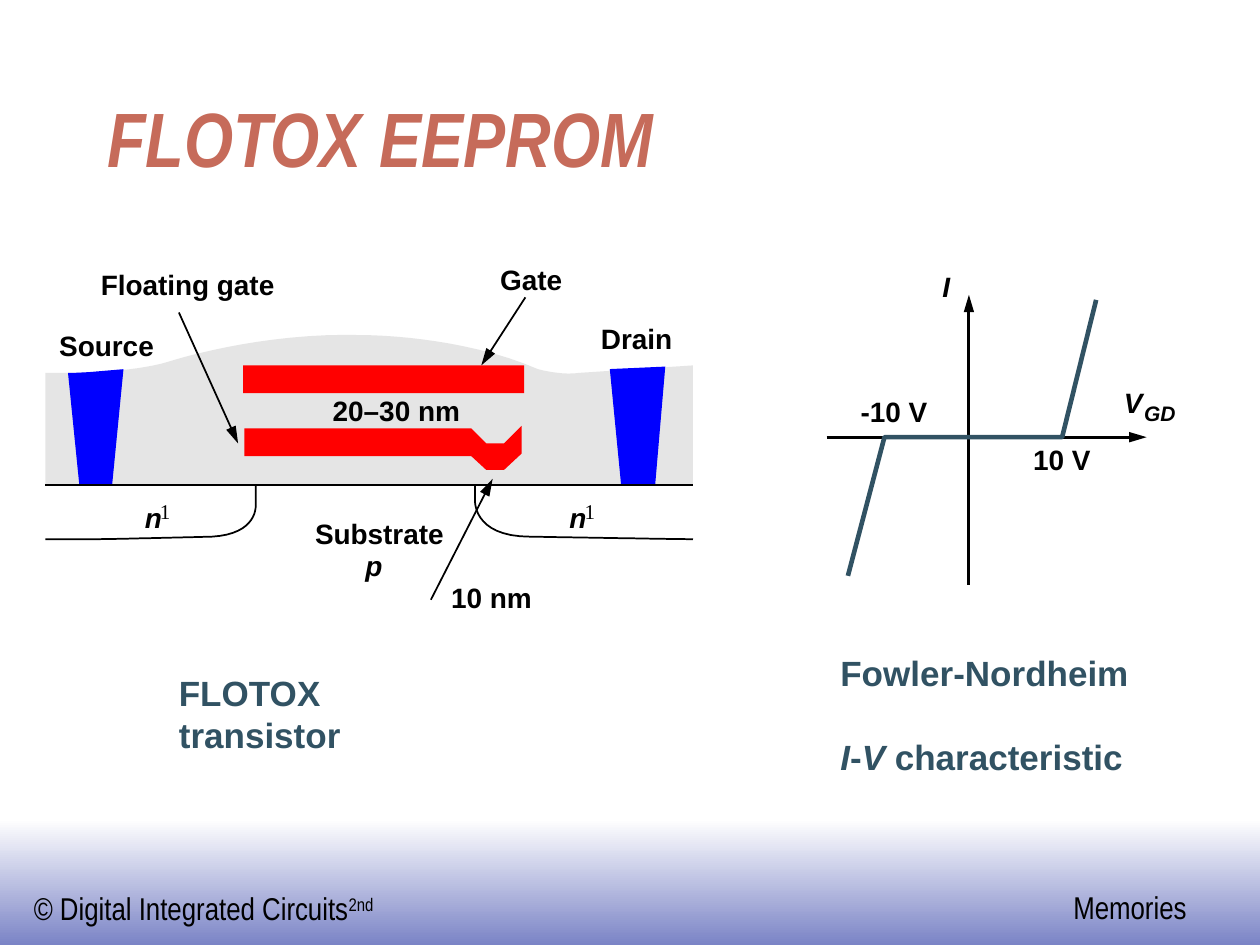
from lxml import etree
from pptx import Presentation
from pptx.dml.color import RGBColor
from pptx.enum.shapes import MSO_CONNECTOR, MSO_SHAPE
from pptx.enum.text import MSO_ANCHOR, MSO_AUTO_SIZE, PP_ALIGN
from pptx.oxml.ns import qn
from pptx.util import Inches, Pt

STRAIGHT = MSO_CONNECTOR.STRAIGHT
RECTANGLE = MSO_SHAPE.RECTANGLE
BOTTOM = MSO_ANCHOR.BOTTOM
NO_FIT, GROW = MSO_AUTO_SIZE.NONE, MSO_AUTO_SIZE.SHAPE_TO_FIT_TEXT
LEFT = PP_ALIGN.LEFT

BLACK = RGBColor(0, 0, 0)
WHITE = RGBColor(255, 255, 255)
RED = RGBColor(255, 0, 0)
BLUE = RGBColor(0, 0, 255)
OXIDE_GRAY = RGBColor(0xE5, 0xE5, 0xE5)
SLATE = RGBColor(0x31, 0x52, 0x63)
CORAL = RGBColor(0xC6, 0x6B, 0x5A)
PERIWINKLE = RGBColor(0x7B, 0x84, 0xC6)

TITLE = "FLOTOX EEPROM"
SURFACE = 3.85
CURVE_STEPS = 16
LABEL_SLACK = 0.1

# Each point is (x, y), or (control x, control y, x, y) for a curve.
DRAIN_JUNCTION = [(3.77, SURFACE), (3.77, 3.96), (3.74, 4.26, 4.21, 4.26), (5.39, 4.28, 5.5, 4.28)]
SOURCE_JUNCTION = [(2.03, SURFACE), (2.03, 4.01), (2.05, 4.24, 1.68, 4.26),
                   (0.88, 4.28, 0.75, 4.28), (0.36, 4.28)]
OXIDE = [(4.59, 2.96), (5.5, 2.9), (5.5, SURFACE), (0.36, SURFACE), (0.36, 2.96), (0.54, 2.96),
         (1.05, 2.96, 1.34, 2.87), (2.07, 2.63, 2.9, 2.66), (3.65, 2.66, 4.27, 2.93),
         (4.45, 2.98, 4.59, 2.96)]
SOURCE_CONTACT = [(0.63, SURFACE), (0.54, 2.96), (0.63, 2.96, 0.75, 2.95), (0.98, 2.93),
                  (0.89, SURFACE)]
DRAIN_CONTACT = [(5.2, SURFACE), (5.28, 2.91), (4.84, 2.93), (4.93, SURFACE)]
FLOATING_GATE = [(4.14, 3.6), (4, 3.73), (3.86, 3.73), (3.74, 3.62), (1.94, 3.62), (1.94, 3.4),
                 (3.74, 3.4), (3.86, 3.52), (4, 3.52), (4.14, 3.38)]
TUNNEL_CURRENT = [(6.73, 4.57), (7.02, 3.47), (8.43, 3.47), (8.7, 2.38)]

GATE = (1.93, 2.9, 2.23, 0.22)
FILLED_REGIONS = [(OXIDE, OXIDE_GRAY), (SOURCE_CONTACT, BLUE), (DRAIN_CONTACT, BLUE),
                  (FLOATING_GATE, RED)]
ARROWS = [
    ((1.42, 2.48), (1.89, 3.52), 1),
    ((4.17, 2.36), (3.82, 2.9), 1),
    ((3.42, 4.76), (3.91, 3.8), 1),
    ((6.56, 3.47), (9.1, 3.47), 1.63),
    ((7.69, 4.64), (7.69, 2.34), 1.63),
]

LABEL = dict(size=16, bold=True)
SYMBOL = dict(size=16, bold=True, italic=True)
CHARGE = dict(size=12, name="Times New Roman")
SUBSCRIPT = dict(size=12, bold=True, italic=True)
CAPTION = dict(size=20, bold=True, color=SLATE)
CAPTION_SYMBOL = dict(CAPTION, italic=True)
FOOTER = dict(size=18, name="Arial Narrow")

LABELS = [
    ("Floating gate", 0.8, 2.12, 1.38, LABEL),
    ("Source", 0.47, 2.61, 0.75, LABEL),
    ("Gate", 3.97, 2.08, 0.49, LABEL),
    ("Drain", 4.77, 2.55, 0.57, LABEL),
    ("20–30 nm", 2.64, 3.12, 0.98, LABEL),
    ("Substrate", 2.5, 4.1, 1.02, LABEL),
    ("p", 2.9, 4.35, 0.14, SYMBOL),
    ("10 nm", 3.58, 4.61, 0.64, LABEL),
    ("n", 1.15, 3.97, 0.14, SYMBOL),
    ("1", 1.27, 3.96, 0.14, CHARGE),
    ("n", 4.52, 3.97, 0.14, SYMBOL),
    ("1", 4.64, 3.96, 0.14, CHARGE),
    ("-10 V", 6.83, 3.13, 0.53, LABEL),
    ("10 V", 8.2, 3.51, 0.46, LABEL),
    ("I", 7.48, 2.14, 0.06, SYMBOL),
    ("V", 8.92, 3.06, 0.15, SYMBOL),
    ("GD", 9.08, 3.18, 0.25, SUBSCRIPT),
]
DEVICE_CAPTION = [[("FLOTOX transistor", CAPTION)]]
CURVE_CAPTION = [
    [("Fowler-Nordheim", CAPTION)],
    [("I", CAPTION_SYMBOL), ("-", CAPTION), ("V", CAPTION_SYMBOL), (" characteristic", CAPTION)],
]
BOOK_FOOTER = [[("© Digital Integrated Circuits", FOOTER), ("2nd", dict(FOOTER, baseline=30000))]]
CHAPTER_FOOTER = [[("Memories", FOOTER)]]


def add_span(para, text, size, name="Arial", color=BLACK, bold=False, italic=False, baseline=0):
    span = para.add_run()
    span.text = text
    font = span.font
    font.size, font.name, font.bold, font.italic = Pt(size), name, bold, italic
    font.color.rgb = color
    if baseline:
        span._r.get_or_add_rPr().set("baseline", str(baseline))


def add_text(page, area, paragraphs, wrap=True, margins=(0, 0), gap=0):
    box = page.shapes.add_textbox(*map(Inches, area))
    frame = box.text_frame
    frame.word_wrap, frame.auto_size = wrap, GROW
    frame.margin_left = frame.margin_right = Inches(margins[0])
    frame.margin_top = frame.margin_bottom = Inches(margins[1])
    for index, spans in enumerate(paragraphs):
        para = frame.add_paragraph() if index else frame.paragraphs[0]
        if index:
            para.space_before = Pt(gap)
        for text, style in spans:
            add_span(para, text, **style)


def trace(points):
    traced = [points[0]]
    for *control, x, y in points[1:]:
        if control:
            start = traced[-1]
            for step in range(1, CURVE_STEPS + 1):
                t = step / CURVE_STEPS
                near, pull, far = (1 - t) ** 3 + 3 * t * (1 - t) ** 2, 3 * t * t * (1 - t), t ** 3
                traced.append(tuple(near * a + pull * b + far * c
                                    for a, b, c in zip(start, control, (x, y))))
        else:
            traced.append((x, y))
    return [(Inches(x), Inches(y)) for x, y in traced]


def add_outline(page, points, fill=None, line=BLACK, width=1):
    first, *rest = trace(points)
    builder = page.shapes.build_freeform(*first)
    builder.add_line_segments(rest, close=fill is not None)
    paint(builder.convert_to_shape(), fill, line, width)


def paint(shape, fill, line=BLACK, width=1):
    shape.shadow.inherit = False
    if fill is None:
        shape.fill.background()
        shape.line.color.rgb, shape.line.width = line, Pt(width)
    else:
        shape.fill.solid()
        shape.fill.fore_color.rgb = fill
        shape.line.fill.background()


def add_line(page, start, end, width, arrow=False):
    line = page.shapes.add_connector(STRAIGHT, *map(Inches, start + end))
    line.line.color.rgb, line.line.width = BLACK, Pt(width)
    if arrow:
        etree.SubElement(line.line._get_or_add_ln(), qn("a:tailEnd"),
                         type="triangle", w="med", len="lg")
    etree.SubElement(line._element.spPr, qn("a:effectLst"))


def add_footer(page):
    band = page.shapes.add_shape(RECTANGLE, *map(Inches, (0, 6.5, 10, 1)))
    band.shadow.inherit = False
    band.line.fill.background()
    band.fill.gradient()
    band.fill.gradient_angle = 270
    for stop, color in zip(band.fill.gradient_stops, (WHITE, PERIWINKLE)):
        stop.color.rgb = color
    add_text(page, (0.17, 7.01, 2.93, 0.4), BOOK_FOOTER, wrap=False, margins=(0.1, 0.05))
    add_text(page, (8.42, 7, 1.1, 0.4), CHAPTER_FOOTER, wrap=False, margins=(0.1, 0.05))


def add_title(page):
    title = page.shapes.title
    title.left, title.top, title.width, title.height = map(Inches, (0.75, 0.25, 8.5, 1.25))
    frame = title.text_frame
    frame.vertical_anchor, frame.auto_size, frame.word_wrap = BOTTOM, NO_FIT, True
    para = frame.paragraphs[0]
    para.alignment = LEFT
    add_span(para, TITLE, 44, "Arial Narrow", CORAL, bold=True, italic=True)


def main():
    deck = Presentation()
    deck.slide_width, deck.slide_height = Inches(10), Inches(7.5)
    page = deck.slides.add_slide(deck.slide_layouts[5])
    add_footer(page)
    add_title(page)
    for junction in (DRAIN_JUNCTION, SOURCE_JUNCTION):
        add_outline(page, junction)
    for points, color in FILLED_REGIONS:
        add_outline(page, points, color)
    paint(page.shapes.add_shape(RECTANGLE, *map(Inches, GATE)), RED)
    add_line(page, (0.36, SURFACE), (5.5, SURFACE), 1)
    for start, end, width in ARROWS:
        add_line(page, start, end, width, arrow=True)
    add_outline(page, TUNNEL_CURRENT, line=SLATE, width=2.63)
    for text, left, top, width, style in LABELS:
        area = (left, top, width + LABEL_SLACK, style["size"] / 60)
        add_text(page, area, [[(text, style)]])
    add_text(page, (1.42, 5.33, 1.6, 0.67), DEVICE_CAPTION)
    add_text(page, (6.67, 5.17, 2.46, 1), CURVE_CAPTION, gap=24)
    deck.save("out.pptx")


if __name__ == "__main__":
    main()
